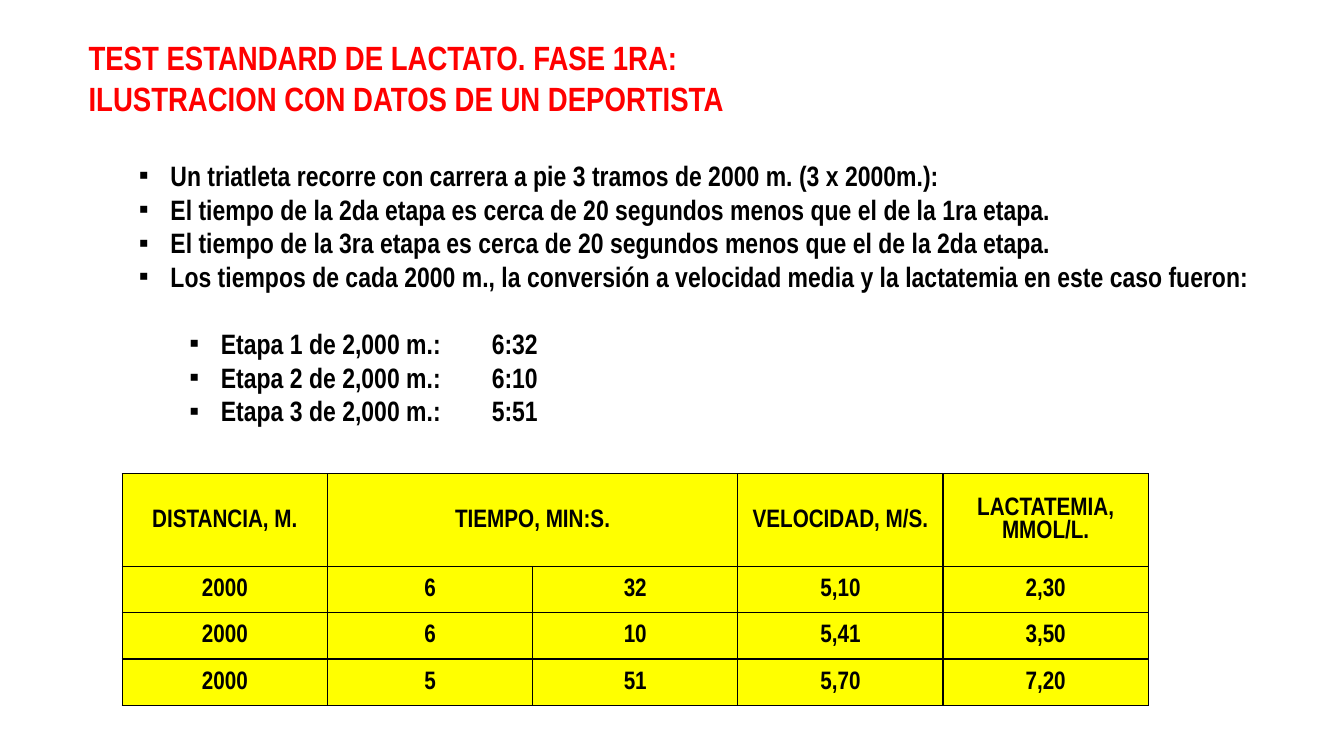
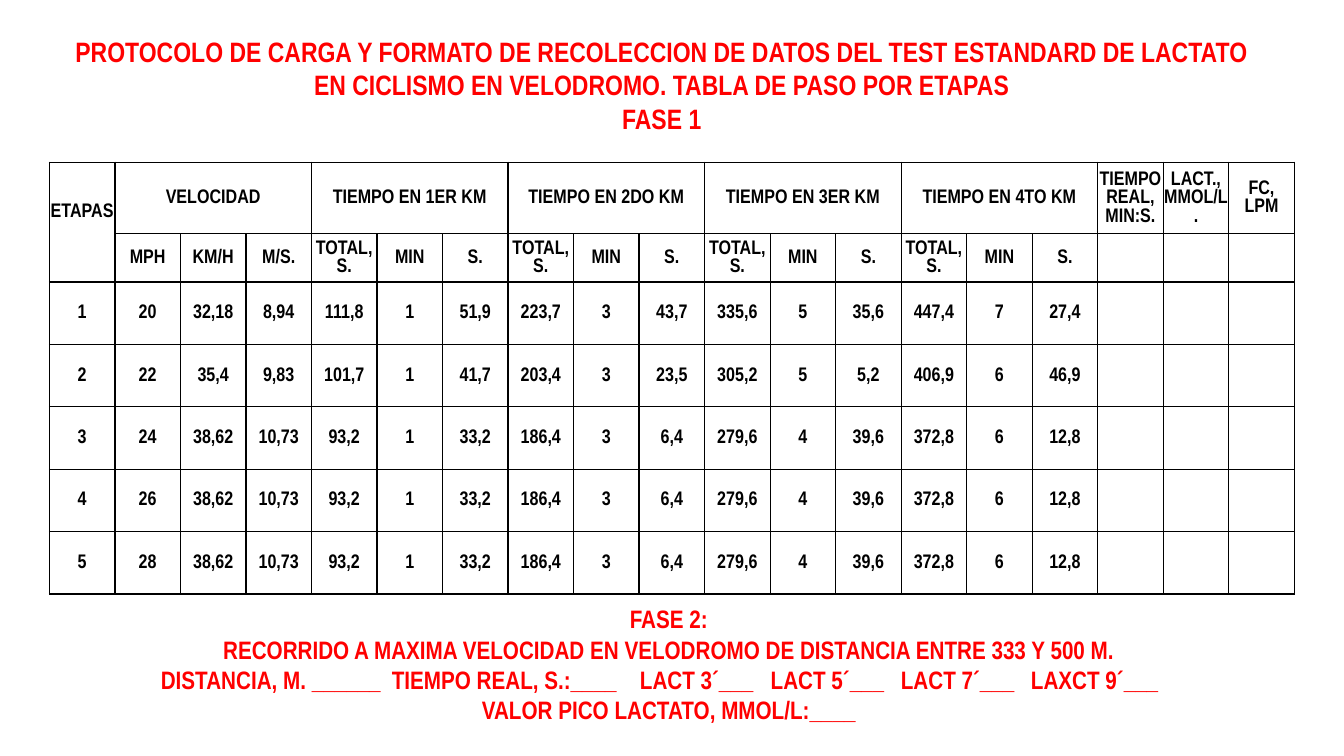
from lxml import etree
from pptx import Presentation
from pptx.dml.color import RGBColor
from pptx.enum import text
from pptx.oxml import ns
from pptx.util import Pt

RED = RGBColor(0xFF, 0x00, 0x00)
BLACK = RGBColor(0x00, 0x00, 0x00)
YELLOW = RGBColor(0xFF, 0xFF, 0x00)
FONT = "Arial Narrow"
CENTER, JUSTIFY = text.PP_ALIGN.CENTER, text.PP_ALIGN.JUSTIFY

ATHLETE_TITLE = ["TEST ESTANDARD DE LACTATO. FASE 1RA:",
                 "ILUSTRACION CON DATOS DE UN DEPORTISTA"]
ATHLETE_POINTS = [
    "Un triatleta recorre con carrera a pie 3 tramos de 2000 m. (3 x 2000m.):",
    "El tiempo de la 2da etapa es cerca de 20 segundos menos que el de la 1ra etapa.",
    "El tiempo de la 3ra etapa es cerca de 20 segundos menos que el de la 2da etapa.",
    "Los tiempos de cada 2000 m., la conversión a velocidad media y la lactatemia "
    "en este caso fueron:",
]
STAGE_TIMES = ["6:32", "6:10", "5:51"]
ATHLETE_ROWS = [
    ["DISTANCIA, M.", "TIEMPO, MIN:S.", "", "VELOCIDAD, M/S.", "LACTATEMIA, MMOL/L."],
    ["2000", "6", "32", "5,10", "2,30"],
    ["2000", "6", "10", "5,41", "3,50"],
    ["2000", "5", "51", "5,70", "7,20"],
]

PROTOCOL_TITLE = [
    "PROTOCOLO DE CARGA Y FORMATO DE RECOLECCION DE DATOS DEL TEST ESTANDARD DE LACTATO "
    "EN CICLISMO EN VELODROMO. TABLA DE PASO POR ETAPAS",
    "FASE 1",
]
GROUPS = ["VELOCIDAD", "TIEMPO EN 1ER KM", "TIEMPO EN 2DO KM",
          "TIEMPO EN 3ER KM", "TIEMPO EN 4TO KM"]
TO_FILL_IN = ["TIEMPO REAL, MIN:S.", "LACT., MMOL/L.", "FC, LPM"]
STAGES = [
    "1 20 32,18 8,94 111,8 1 51,9 223,7 3 43,7 335,6 5 35,6 447,4 7 27,4",
    "2 22 35,4 9,83 101,7 1 41,7 203,4 3 23,5 305,2 5 5,2 406,9 6 46,9",
    "3 24 38,62 10,73 93,2 1 33,2 186,4 3 6,4 279,6 4 39,6 372,8 6 12,8",
    "4 26 38,62 10,73 93,2 1 33,2 186,4 3 6,4 279,6 4 39,6 372,8 6 12,8",
    "5 28 38,62 10,73 93,2 1 33,2 186,4 3 6,4 279,6 4 39,6 372,8 6 12,8",
]
PHASE_TWO = ["FASE 2:",
             "RECORRIDO A MAXIMA VELOCIDAD EN VELODROMO DE DISTANCIA ENTRE 333 Y 500 M."]
FORM_FIELDS = [("DISTANCIA, M. ______", 74.7), ("TIEMPO REAL, S.:____", 239.7),
               ("LACT 3´___", 416.9), ("LACT 5´___", 510.3),
               ("LACT 7´___", 603.3), ("LAXCT 9´___", 696.2)]
PEAK_FIELD = "VALOR PICO LACTATO, MMOL/L:____"


def assign(target, values):
    for name, value in values.items():
        setattr(target, name, value)


def add_text_box(slide, left, top, width, height):
    frame = slide.shapes.add_textbox(Pt(left), Pt(top), Pt(width), Pt(height)).text_frame
    assign(frame, {"word_wrap": True, "auto_size": text.MSO_AUTO_SIZE.SHAPE_TO_FIT_TEXT})
    return frame


def style_paragraph(paragraph, size, color, layout):
    assign(paragraph, layout)
    for font in [paragraph.font, *(run.font for run in paragraph.runs)]:
        assign(font, {"name": FONT, "size": Pt(size), "bold": True})
        font.color.rgb = color


def add_lines(frame, lines, size, color, alignment, gap=0, indent=None, tabs=()):
    """Append paragraphs; gap is the space before the first, indent makes them bullets."""
    for index, line in enumerate(lines):
        is_first = not frame.text
        paragraph = frame.paragraphs[0] if is_first else frame.add_paragraph()
        paragraph.text = line
        properties = paragraph._p.get_or_add_pPr()
        if indent:
            bullet_layout = {"marL": Pt(indent), "indent": -Pt(22.5), "defTabSz": Pt(72)}
            for name, value in bullet_layout.items():
                properties.set(name, str(int(value)))
            etree.SubElement(properties, ns.qn("a:buFont"), typeface="Arial")
            etree.SubElement(properties, ns.qn("a:buChar"), char="▪")
        if tabs:
            tab_list = etree.SubElement(properties, ns.qn("a:tabLst"))
            for position in tabs:
                etree.SubElement(tab_list, ns.qn("a:tab"), pos=str(int(Pt(position))), algn="l")
        layout = {"alignment": alignment}
        if gap and index == 0:
            layout["space_before"] = Pt(gap)
        style_paragraph(paragraph, size, color, layout)


def add_borders(cell):
    properties = cell._tc.get_or_add_tcPr()
    for side in ("lnL", "lnR", "lnT", "lnB"):
        line = etree.SubElement(properties, ns.qn(f"a:{side}"), w=str(int(Pt(1))))
        fill = etree.SubElement(line, ns.qn("a:solidFill"))
        etree.SubElement(fill, ns.qn("a:srgbClr"), val=str(BLACK))


def add_data_table(slide, rows, left, top, width, heights, size, fill=None):
    frame = slide.shapes.add_table(len(rows), len(rows[0]), Pt(left), Pt(top),
                                   Pt(width), Pt(sum(heights)))
    table = frame.table
    assign(table, {"first_row": False, "horz_banding": False})
    for column in table.columns:
        column.width = Pt(width / len(rows[0]))
    for row, height, values in zip(table.rows, heights, rows):
        row.height = Pt(height)
        for cell, value in zip(row.cells, values):
            cell.text = value
            assign(cell, {"margin_left": Pt(0.7), "margin_right": Pt(0.7),
                          "margin_top": Pt(0.7), "margin_bottom": 0,
                          "vertical_anchor": text.MSO_ANCHOR.MIDDLE})
            style_paragraph(cell.text_frame.paragraphs[0], size, BLACK, {"alignment": CENTER})
            add_borders(cell)
            if fill is None:
                cell.fill.background()
            else:
                cell.fill.solid()
                cell.fill.fore_color.rgb = fill
    return table


def build_athlete_slide(slide):
    frame = add_text_box(slide, 56.2, 23, 868.3, 288.7)
    add_lines(frame, ATHLETE_TITLE, 24, RED, JUSTIFY)
    add_lines(frame, ATHLETE_POINTS, 20, BLACK, JUSTIFY, gap=29, indent=58.5)
    stages = [f"Etapa {number} de 2,000 m.: \t{time}"
              for number, time in enumerate(STAGE_TIMES, 1)]
    add_lines(frame, stages, 20, BLACK, JUSTIFY, gap=24, indent=94.5)
    table = add_data_table(slide, ATHLETE_ROWS, 87.3, 338.4, 733, [66.2] + [33.1] * 3, 18, YELLOW)
    table.cell(0, 1).merge(table.cell(0, 2))


def build_protocol_slide(slide):
    blanks = [""] * len(TO_FILL_IN)
    header = ["ETAPAS"]
    for group in GROUPS:
        header += [group, "", ""]
    units = ["", "MPH", "KM/H", "M/S."] + ["TOTAL, S.", "MIN", "S."] * 4
    rows = [header + TO_FILL_IN, units + blanks]
    rows += [stage.split() + blanks for stage in STAGES]
    table = add_data_table(slide, rows, 35.3, 115.9, 889.2, [45.2, 30.6] + [44.6] * 5, 14)
    table.cell(0, 0).merge(table.cell(1, 0))
    table.cell(0, 0).margin_bottom = Pt(14)
    for index in range(len(GROUPS)):
        first = 1 + 3 * index
        table.cell(0, first).merge(table.cell(0, first + 2))

    title = add_text_box(slide, 33.1, 20.9, 879.1, 79.9)
    add_lines(title, PROTOCOL_TITLE, 20, RED, CENTER)

    form = add_text_box(slide, 33.1, 427.7, 889.2, 94.3)
    add_lines(form, PHASE_TWO, 18, RED, CENTER)
    fields = "".join(f"\t{label}" for label, _ in FORM_FIELDS)
    add_lines(form, [fields], 18, RED, text.PP_ALIGN.LEFT,
              tabs=[position for _, position in FORM_FIELDS])
    add_lines(form, [PEAK_FIELD], 18, RED, CENTER)


def main():
    presentation = Presentation()
    assign(presentation, {"slide_width": Pt(960), "slide_height": Pt(540)})
    for build in (build_athlete_slide, build_protocol_slide):
        build(presentation.slides.add_slide(presentation.slide_layouts[6]))
    presentation.save("out.pptx")


if __name__ == "__main__":
    main()
